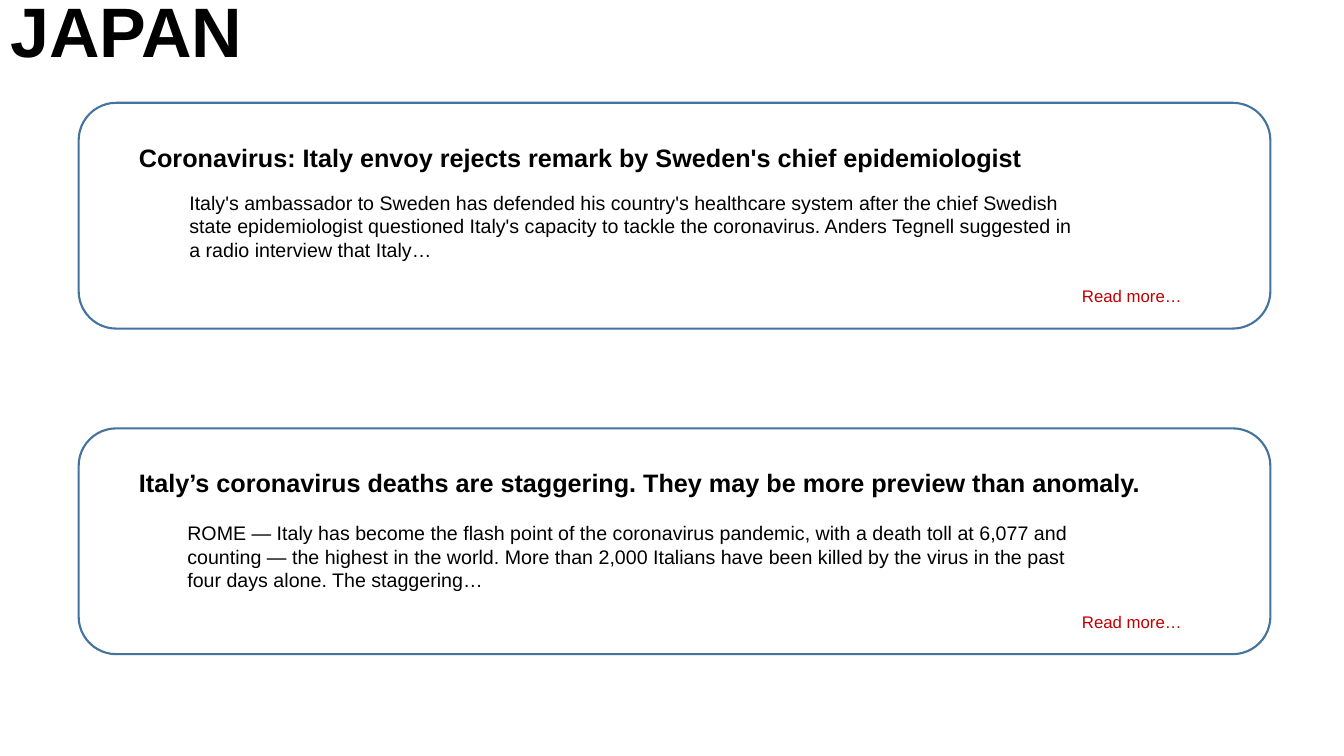
from dataclasses import dataclass

from pptx import Presentation
from pptx.dml.color import RGBColor
from pptx.enum.shapes import MSO_SHAPE
from pptx.enum.text import MSO_ANCHOR, MSO_AUTO_SIZE, PP_ALIGN
from pptx.util import Inches, Pt


@dataclass(frozen=True)
class Theme:
    font: str = "Arial"
    text: RGBColor = RGBColor(0x00, 0x00, 0x00)
    link: RGBColor = RGBColor(0xC0, 0x00, 0x00)
    border: RGBColor = RGBColor(0x43, 0x73, 0x9E)
    title_size: int = 50
    headline_size: int = 18
    body_size: int = 14
    link_size: int = 12


THEME = Theme()

CARD_LEFT, CARD_TOP = 0.78, 1.02
CARD_WIDTH, CARD_HEIGHT = 11.82, 2.24
CARD_PITCH = 3.23

# Headline, summary, and the summary's left and offset from the card top
ARTICLES = [
    (
        "Coronavirus: Italy envoy rejects remark by Sweden's chief epidemiologist",
        "Italy's ambassador to Sweden has defended his country's healthcare system "
        "after the chief Swedish state epidemiologist questioned Italy's capacity to "
        "tackle the coronavirus. Anders Tegnell suggested in a radio interview that Italy…",
        1.78,
        0.82,
    ),
    (
        "Italy’s coronavirus deaths are staggering. They may be more preview than anomaly.",
        "ROME — Italy has become the flash point of the coronavirus pandemic, with a "
        "death toll at 6,077 and counting — the highest in the world. More than 2,000 "
        "Italians have been killed by the virus in the past four days alone. "
        "The staggering…",
        1.76,
        0.87,
    ),
]


def place(sp, left, top, width, height):
    sp.left, sp.top = Inches(left), Inches(top)
    sp.width, sp.height = Inches(width), Inches(height)


def write(sp, text, size, color=THEME.text, bold=False, align=PP_ALIGN.LEFT):
    tf = sp.text_frame
    tf.text = text
    tf.word_wrap = True
    tf.vertical_anchor = MSO_ANCHOR.TOP
    p = tf.paragraphs[0]
    p.alignment = align
    font = p.runs[0].font
    font.name = THEME.font
    font.size = Pt(size)
    font.bold = bold
    font.color.rgb = color


def add_title(s, text):
    sp = s.shapes.title
    place(sp, 0, -0.17, 2.86, 0.94)
    write(sp, text, THEME.title_size, bold=True)
    sp.text_frame.auto_size = MSO_AUTO_SIZE.NONE


def add_text(s, box, text, size, **style):
    sp = s.shapes.add_textbox(*map(Inches, box))
    write(sp, text, size, **style)


def add_frame(s, top):
    box = (CARD_LEFT, top, CARD_WIDTH, CARD_HEIGHT)
    sp = s.shapes.add_shape(MSO_SHAPE.ROUNDED_RECTANGLE, *map(Inches, box))
    sp.shadow.inherit = False
    sp.fill.background()
    sp.line.color.rgb = THEME.border
    sp.line.width = Pt(1.5)


def add_article(s, top, headline, summary, summary_left, summary_offset):
    add_frame(s, top)
    add_text(s, (1.28, top + 0.34, 11.27, 0.4), headline,
             THEME.headline_size, bold=True)
    add_text(s, (10.4, top + 1.77, 1.42, 0.3), "Read more…",
             THEME.link_size, color=THEME.link, align=PP_ALIGN.RIGHT)
    add_text(s, (summary_left, top + summary_offset, 9.04, 0.81), summary,
             THEME.body_size)


def main():
    prs = Presentation()
    prs.slide_width, prs.slide_height = Inches(13.33), Inches(7.5)
    s = prs.slides.add_slide(prs.slide_layouts[5])
    add_title(s, "JAPAN")
    for i, article in enumerate(ARTICLES):
        add_article(s, CARD_TOP + i * CARD_PITCH, *article)
    prs.save("out.pptx")


if __name__ == "__main__":
    main()
